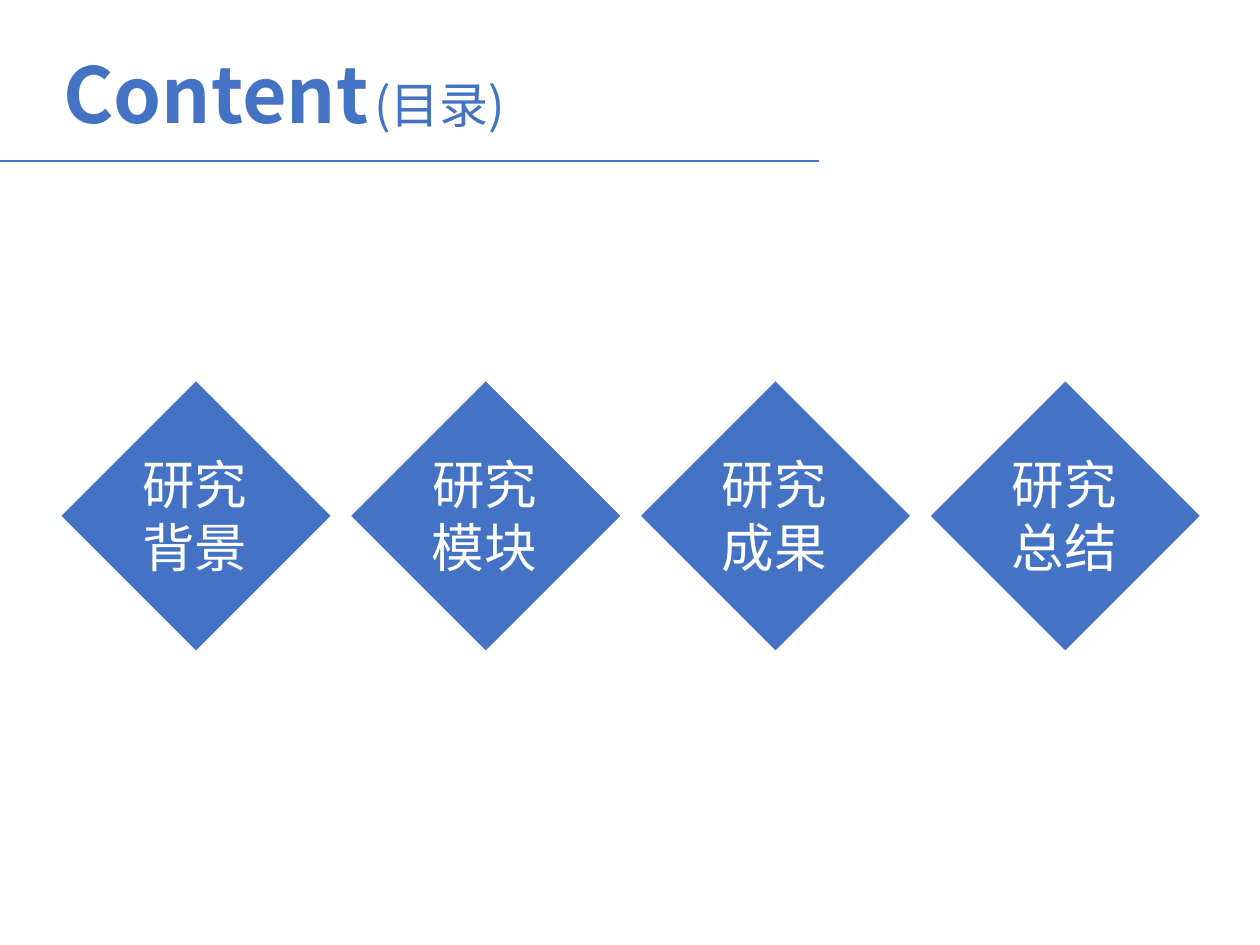
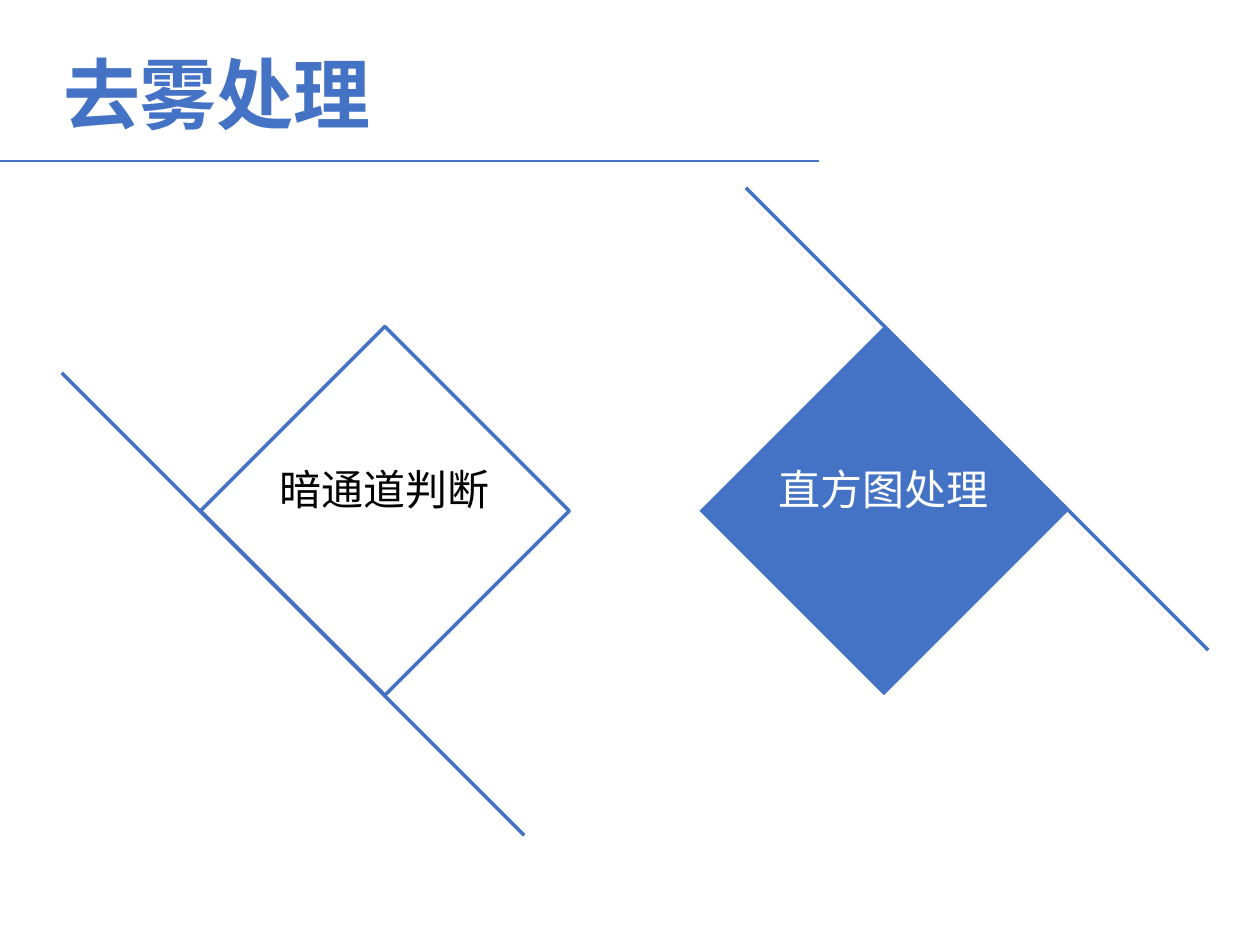
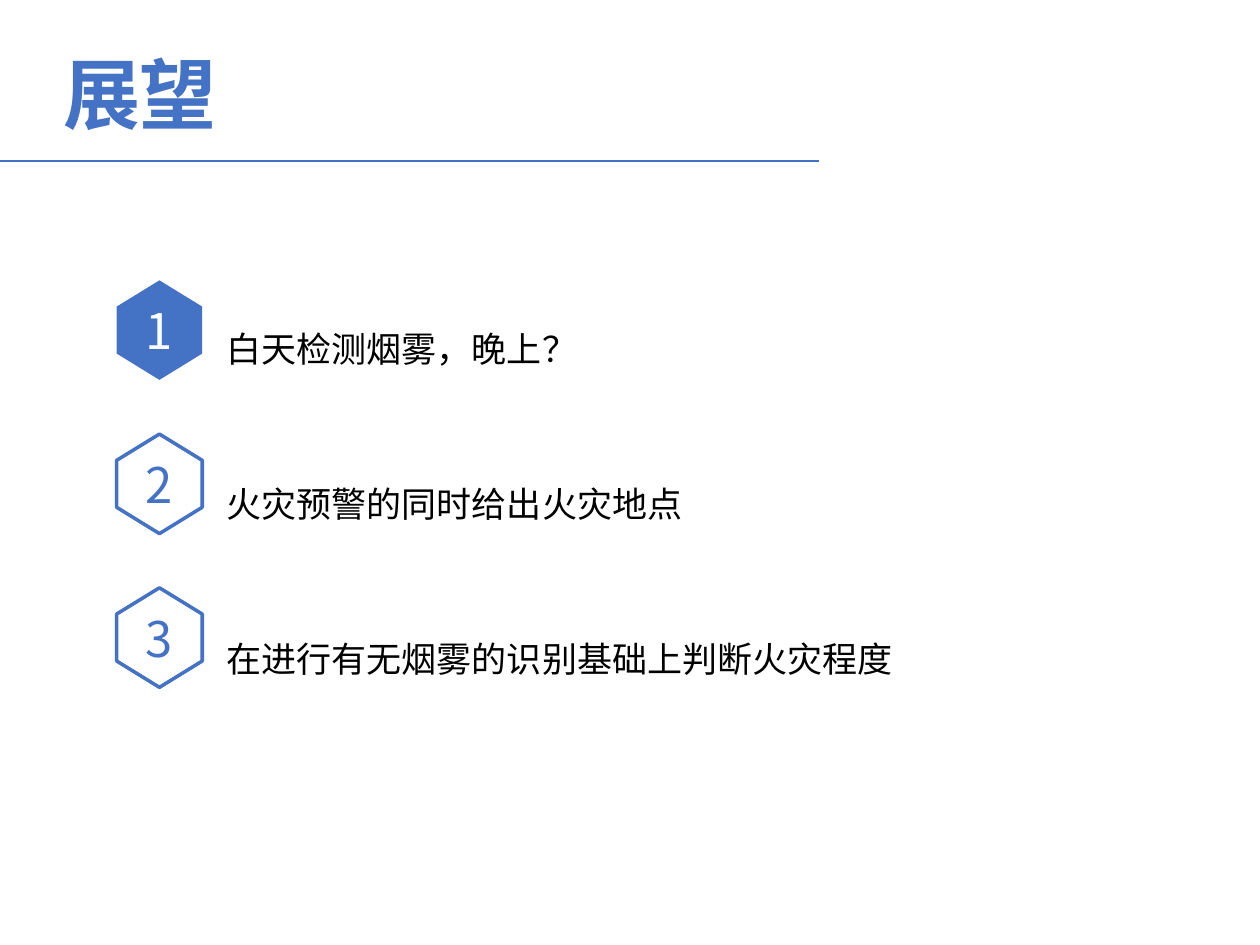
from pptx import Presentation
from pptx.dml.color import RGBColor
from pptx.enum import shapes, text
from pptx.oxml import ns, xmlchemy
from pptx.util import Inches, Pt

FONT = "Noto Sans CJK SC"
BLUE, WHITE, BLACK = "4472C4", "FFFFFF", "000000"
SHAPE = shapes.MSO_SHAPE
ALIGN = text.PP_ALIGN


def color(value):
    """Return the colour for a hex string."""
    return RGBColor.from_string(value)


def write(p, words, size, fill=BLUE, bold=False, align=None):
    """Add a formatted run to a paragraph."""
    r = p.add_run()
    r.text = words
    r.font.size = Pt(size)
    r.font.bold = bold
    r.font.name = FONT
    r.font.color.rgb = color(fill)
    ea = xmlchemy.OxmlElement("a:ea")
    ea.set("typeface", FONT)
    r._r.rPr.find(ns.qn("a:latin")).addnext(ea)
    if align is not None:
        p.alignment = align


def add_line(parent, x1, y1, x2, y2, width=2):
    """Draw a blue straight line without a shadow."""
    line = parent.add_connector(shapes.MSO_CONNECTOR.STRAIGHT, *map(Inches, (x1, y1, x2, y2)))
    line.line.color.rgb = color(BLUE)
    line.line.width = Pt(width)
    line._element.spPr.append(xmlchemy.OxmlElement("a:effectLst"))


def add_figure(parent, kind, x, y, w, h, rotation=45, filled=True):
    """Draw a turned shape, either solid blue or outlined in blue."""
    sp = parent.add_shape(kind, *map(Inches, (x, y, w, h)))
    sp.shadow.inherit = False
    sp.rotation = rotation
    if filled:
        sp.fill.solid()
        sp.fill.fore_color.rgb = color(BLUE)
        sp.line.fill.background()
    else:
        sp.fill.background()
        sp.line.color.rgb = color(BLUE)
        sp.line.width = Pt(2)
    return sp


def add_label(parent, words, x, y, w, h, size, fill=BLACK, align=ALIGN.CENTER):
    """Add a wrapping text box."""
    tf = parent.add_textbox(*map(Inches, (x, y, w, h))).text_frame
    tf.word_wrap = True
    tf.auto_size = text.MSO_AUTO_SIZE.SHAPE_TO_FIT_TEXT
    write(tf.paragraphs[0], words, size, fill, align=align)


def add_hexagon(parent, number, y, filled):
    """Add an upright hexagon that holds a number."""
    sp = add_figure(parent, SHAPE.HEXAGON, 0.87, y, 0.79, 0.68, 90, filled)
    sp.adjustments[0] = 0.307
    tf = sp.text_frame
    tf.vertical_anchor = text.MSO_ANCHOR.MIDDLE
    tf._txBody.bodyPr.set("vert", "vert270")
    write(tf.paragraphs[0], str(number), 28, WHITE if filled else BLUE, align=ALIGN.CENTER)


def add_slide(prs, title):
    """Add a slide with the shared title and rule, and return it with its title paragraph."""
    s = prs.slides.add_slide(prs.slide_layouts[5])
    add_line(s.shapes, 0, 1.28, 6.5, 1.28, 1.25)
    sp = s.shapes.title
    sp.left, sp.top, sp.width, sp.height = map(Inches, (0.4, 0.32, 8.03, 0.71))
    tf = sp.text_frame
    tf.auto_size = text.MSO_AUTO_SIZE.NONE
    tf.vertical_anchor = text.MSO_ANCHOR.TOP
    p = tf.paragraphs[0]
    write(p, title, 44, bold=True, align=ALIGN.LEFT)
    return s, p


def contents(prs):
    """Build the contents slide."""
    s, p = add_slide(prs, "Content")
    write(p, " ", 14, bold=True)
    write(p, "(目录)", 28)
    for i, topic in enumerate(("研究背景", "研究模块", "研究成果", "研究总结")):
        x = 0.8 + 2.3 * i
        add_figure(s.shapes, SHAPE.RECTANGLE, x, 3.34, 1.51, 1.51)
        add_label(s.shapes, topic, x + 0.07, 3.54, 1.35, 1.11, 30, WHITE)


def dehazing(prs):
    """Build the slide with the two dehazing steps."""
    s, _ = add_slide(prs, "去雾处理")
    steps = (
        ("暗通道判断", 2.02, (0.49, 2.96), False, BLACK),
        ("直方图处理", 5.98, (5.92, 1.49), True, WHITE),
    )
    for words, x, (x1, y1), filled, fill in steps:
        group = s.shapes.add_group_shape().shapes
        add_figure(group, SHAPE.RECTANGLE, x, 3.02, 2.07, 2.07, filled=filled)
        add_line(group, x1, y1, x1 + 3.67, y1 + 3.67)
        add_label(group, words, x - 0.05, 3.63, 2.17, 0.5, 24, fill)


def outlook(prs):
    """Build the slide with the numbered outlook."""
    s, _ = add_slide(prs, "展望")
    goals = ("白天检测烟雾，晚上？", "火灾预警的同时给出火灾地点", "在进行有无烟雾的识别基础上判断火灾程度")
    for i, goal in enumerate(goals):
        add_hexagon(s.shapes, i + 1, 2.28 + 1.22 * i, filled=i == 0)
        add_label(s.shapes, goal, 1.7, 2.55 + 1.23 * i, 7.26, 0.44, 20, align=ALIGN.JUSTIFY)


def main():
    """Build and save the presentation."""
    prs = Presentation()
    prs.slide_width, prs.slide_height = Inches(10), Inches(7.5)
    contents(prs)
    dehazing(prs)
    outlook(prs)
    prs.save("out.pptx")


if __name__ == "__main__":
    main()
